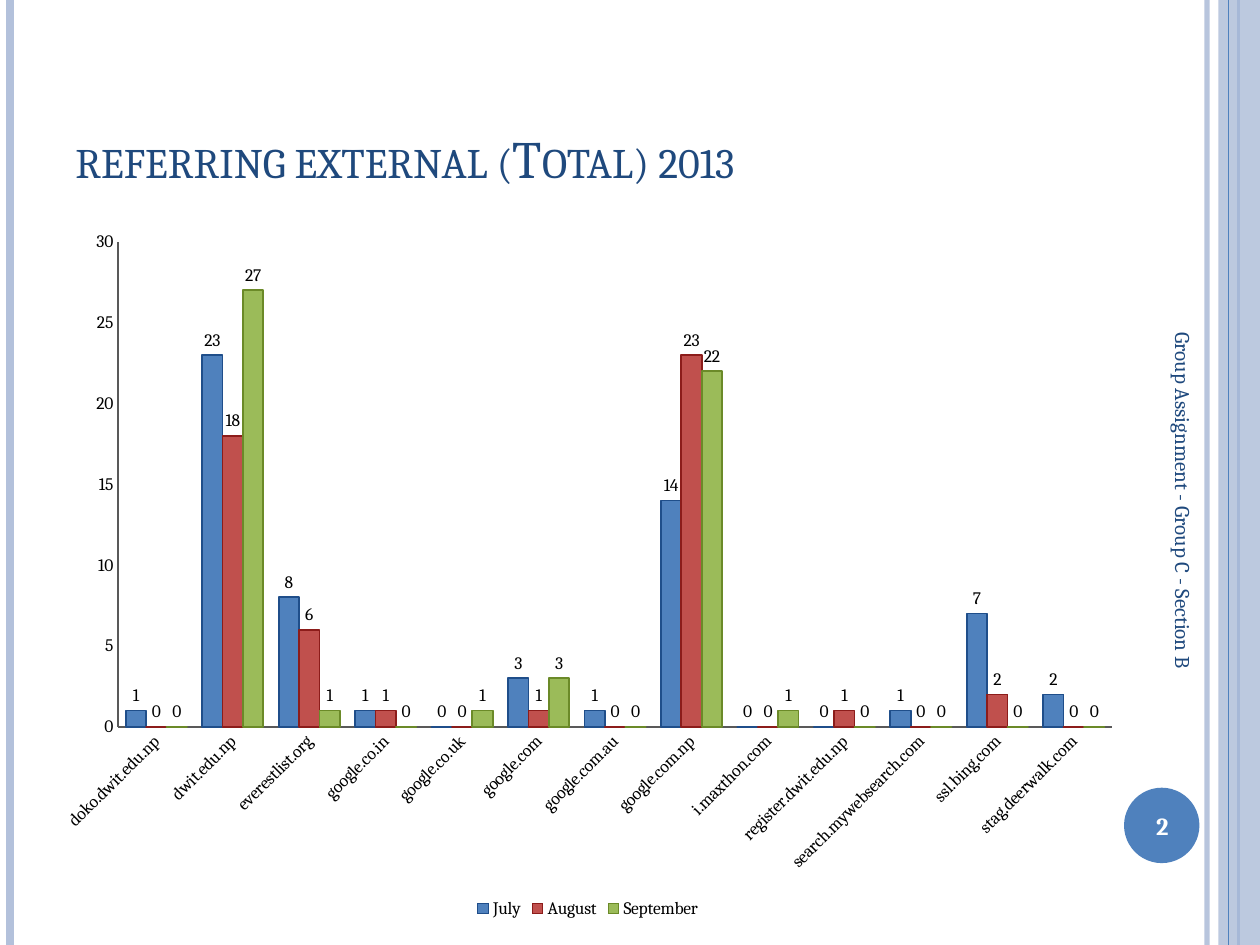
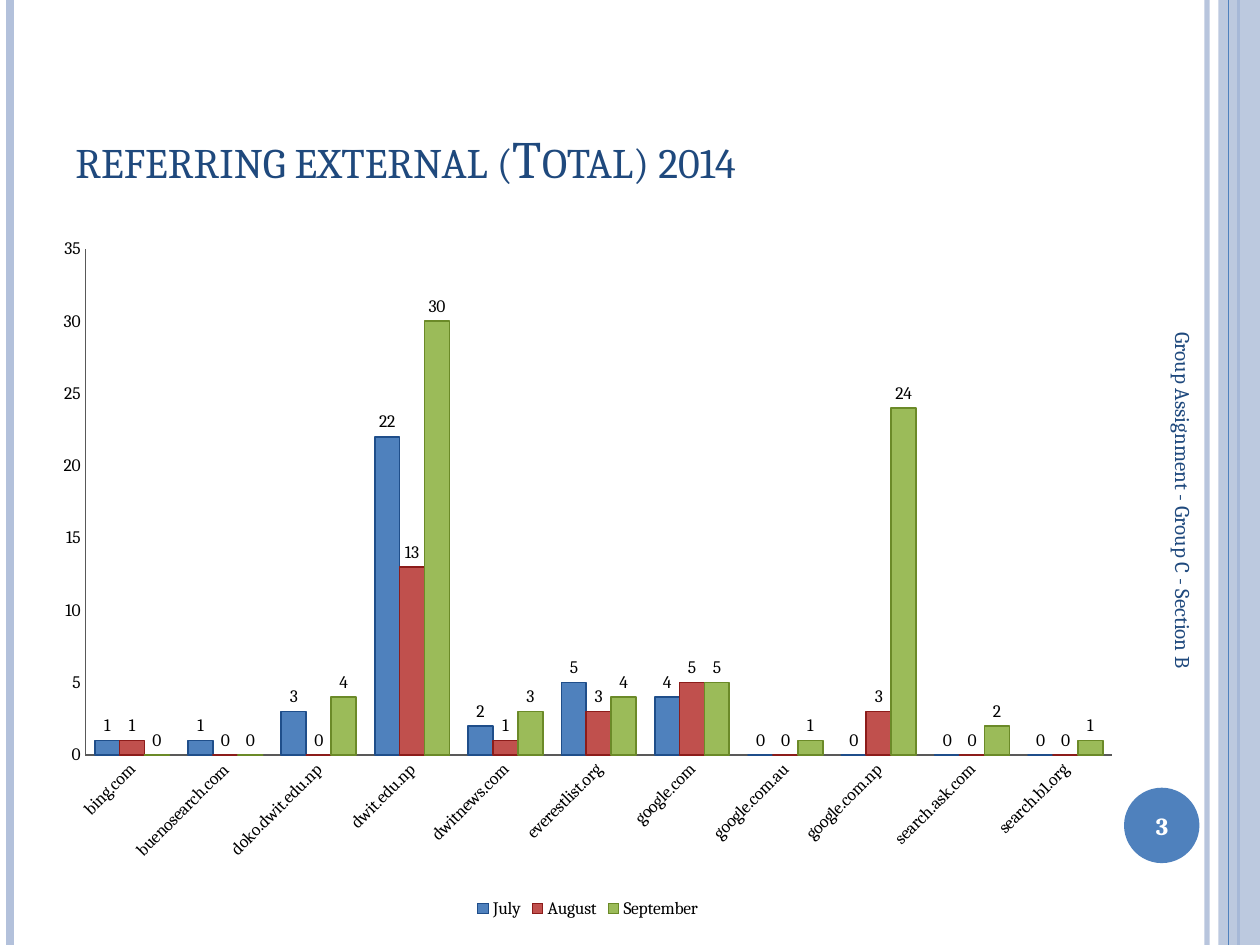
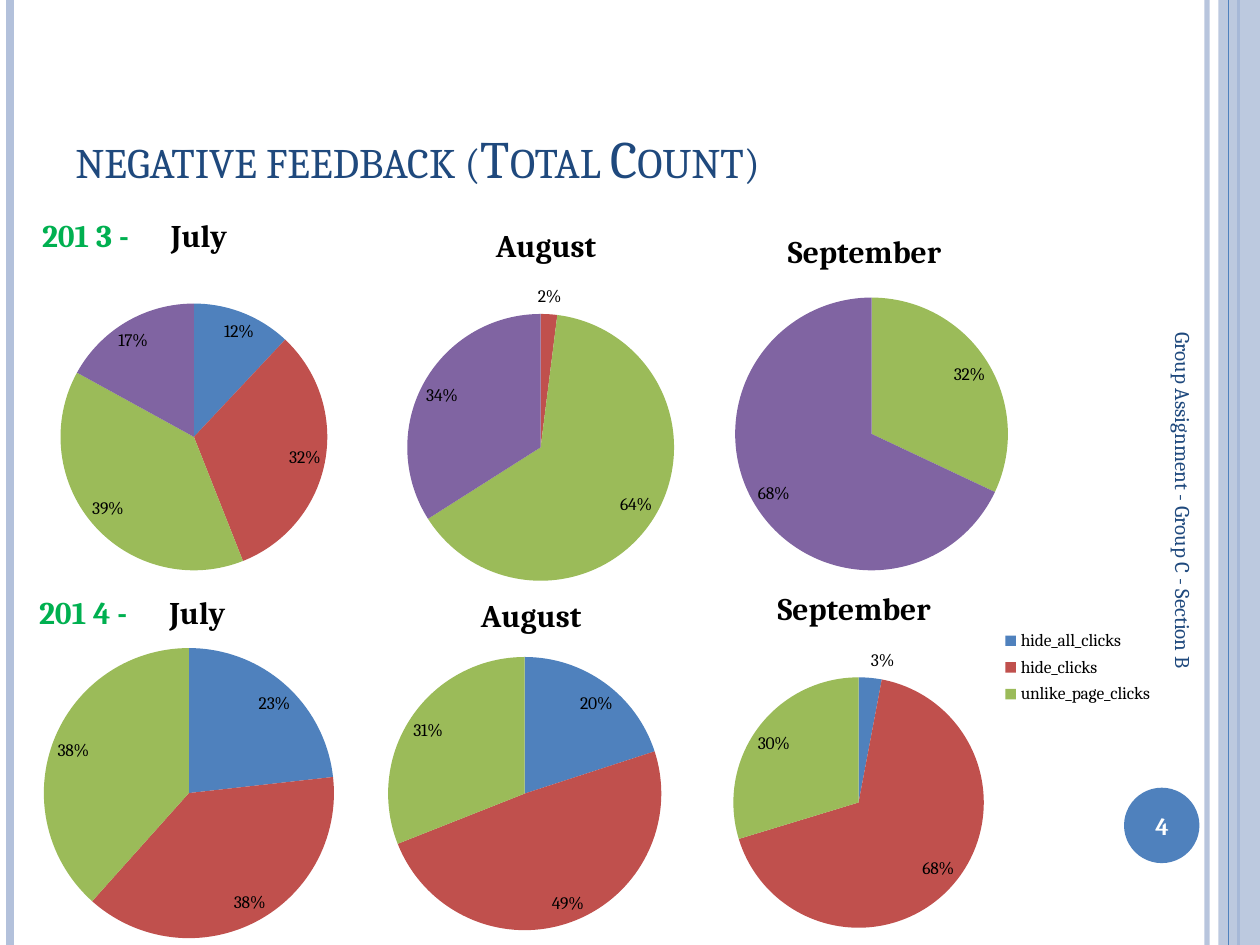
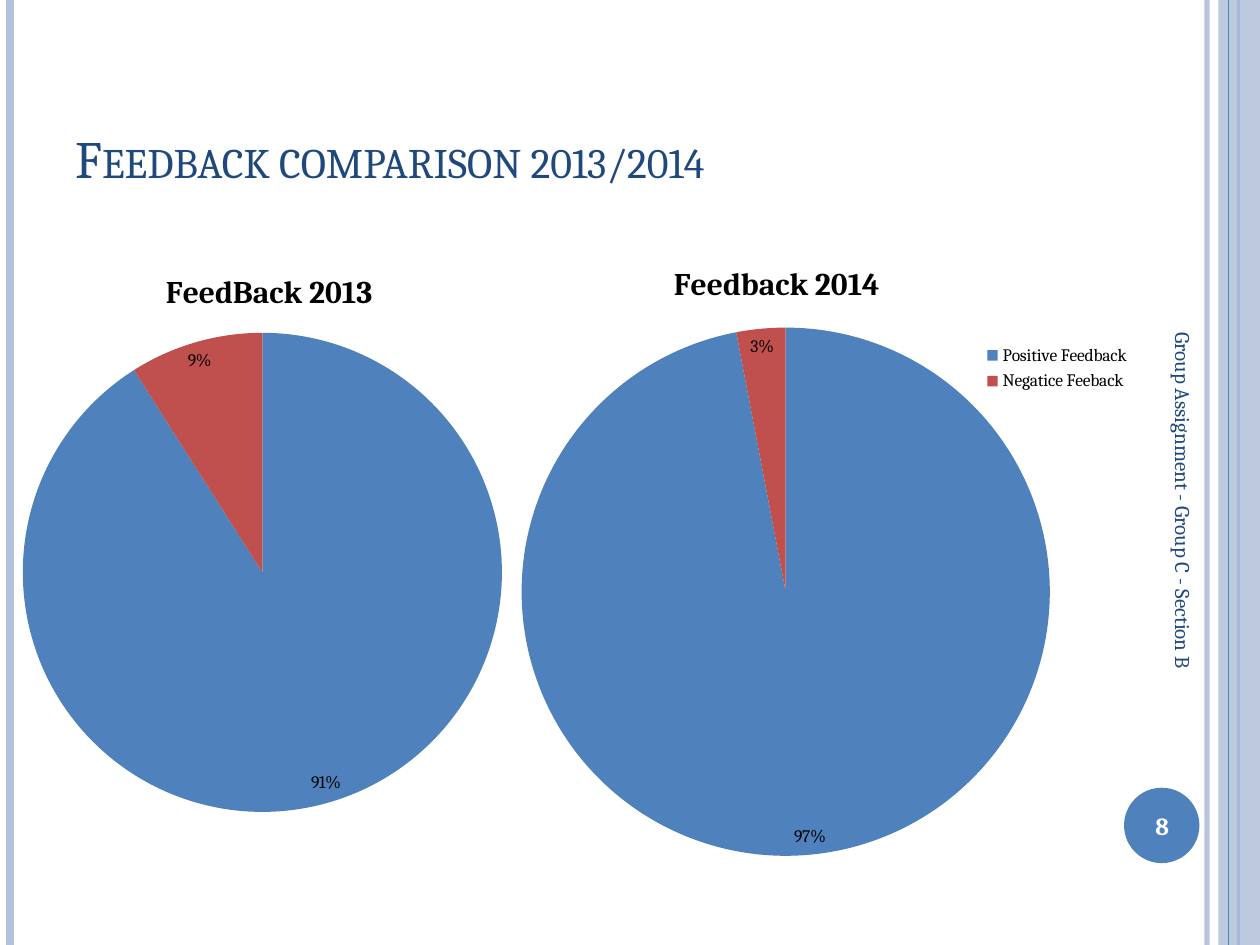
"""Build four slides of web referral and page feedback charts."""
from dataclasses import dataclass
from typing import NamedTuple, Optional

from lxml.etree import SubElement
from pptx import Presentation
from pptx.chart.chart import Chart
from pptx.chart.data import CategoryChartData
from pptx.dml.color import RGBColor
from pptx.enum.chart import XL_CHART_TYPE, XL_LABEL_POSITION, XL_LEGEND_POSITION, XL_TICK_MARK
from pptx.enum.shapes import MSO_CONNECTOR, MSO_SHAPE
from pptx.enum.text import MSO_ANCHOR, PP_ALIGN
from pptx.oxml import parse_xml
from pptx.oxml.ns import nsdecls, qn
from pptx.slide import Slide
from pptx.util import Cm, Pt


def rgb(code: str) -> RGBColor:
    return RGBColor.from_string(code)


@dataclass(frozen=True)
class Theme:
    font: str = "Cambria"
    heading: RGBColor = rgb("1F497D")
    accent: RGBColor = rgb("4F81BD")
    band: RGBColor = rgb("B3C1DB")
    year: RGBColor = rgb("00B050")
    axis: RGBColor = rgb("595959")
    black: RGBColor = rgb("000000")
    white: RGBColor = rgb("FFFFFF")
    fills: tuple = (rgb("4F81BD"), rgb("C0504D"), rgb("9BBB59"), rgb("8064A2"))
    outlines: tuple = (rgb("1F4E8A"), rgb("8C1C1A"), rgb("6B8A28"))
    title_size: int = 30
    chart_title_size: int = 18
    number_size: int = 14
    footer_size: int = 12
    chart_size: int = 10


THEME = Theme()


class Box(NamedTuple):
    left: float
    top: float
    width: float
    height: float

    def lengths(self) -> list[Cm]:
        return [Cm(value) for value in self]

    def within(self, frame: "Box") -> "Box":
        return Box((self.left - frame.left) / frame.width, (self.top - frame.top) / frame.height,
                   self.width / frame.width, self.height / frame.height)


class Stripe(NamedTuple):
    x: float
    color: RGBColor
    weight: float
    opacity: int = 100


class Circle(NamedTuple):
    x: float
    y: float
    diameter: float

    def box(self) -> Box:
        radius = self.diameter / 2
        return Box(self.x - radius, self.y - radius, self.diameter, self.diameter)


@dataclass(frozen=True)
class Label:
    text: str
    box: Box
    size: int
    color: RGBColor
    anchor: MSO_ANCHOR = MSO_ANCHOR.MIDDLE
    align: PP_ALIGN = PP_ALIGN.LEFT
    bold: bool = False
    rotation: int = 0
    small_caps: bool = False


@dataclass(frozen=True)
class Columns:
    sites: tuple
    months: dict
    plot: Box
    top_value: int


@dataclass(frozen=True)
class Pie:
    title: str
    title_left: float
    title_top: float
    frame: Box
    circle: Circle
    shares: tuple
    names: tuple = ()
    legend: Optional[Box] = None
    year: str = ""
    shares_as_text: bool = False
    series: str = "Series 1"


@dataclass(frozen=True)
class Page:
    title: str
    number: str
    charts: tuple


WIDTH, HEIGHT = 25.4, 19.05
BACK_STRIPES = (
    Stripe(24.33, THEME.band, 3, 93),
    Stripe(0.2, THEME.band, 4.5),
    Stripe(24.97, THEME.accent, 1.5),
)
FRONT_STRIPE = Stripe(24.77, THEME.accent, 0.75)
SIDE_BAND = Box(24.56, 0, 0.84, HEIGHT)
BADGE = Box(22.66, 15.88, 1.52, 1.52)
COLUMN_FRAME = Box(0.84, 4.45, 22.02, 14.17)

REFERRALS_2013 = Columns(
    ("doko.dwit.edu.np", "dwit.edu.np", "everestlist.org", "google.co.in", "google.co.uk",
     "google.com", "google.com.au", "google.com.np", "i.maxthon.com", "register.dwit.edu.np",
     "search.mywebsearch.com", "ssl.bing.com", "stag.deerwalk.com"),
    {"July": (1, 23, 8, 1, 0, 3, 1, 14, 0, 0, 1, 7, 2),
     "August": (0, 18, 6, 1, 0, 1, 0, 23, 0, 1, 0, 2, 0),
     "September": (0, 27, 1, 0, 1, 3, 0, 22, 1, 0, 0, 0, 0)},
    Box(0.07, 0.03, 0.91, 0.69), 30)
REFERRALS_2014 = Columns(
    ("bing.com", "buenosearch.com", "doko.dwit.edu.np", "dwit.edu.np", "dwitnews.com",
     "everestlist.org", "google.com", "google.com.au", "google.com.np", "search.ask.com",
     "search.b1.org"),
    {"July": (1, 1, 3, 22, 2, 5, 4, 0, 0, 0, 0),
     "August": (1, 0, 0, 13, 1, 3, 5, 0, 3, 0, 0),
     "September": (0, 0, 4, 30, 3, 4, 5, 1, 24, 2, 1)},
    Box(0.04, 0.04, 0.94, 0.72), 35)

NEGATIVE_FEEDBACK = (
    Pie("July", 0.77, 4.27, Box(-0.43, 4.01, 8.69, 7.82), Circle(3.91, 8.81, 5.38),
        (12, 32, 39, 17), year="201 3 -"),
    Pie("August", 9.88, 4.42, Box(6.78, 4.01, 8.26, 8.05), Circle(10.9, 9.02, 5.38),
        (0, 2, 64, 34), series="August"),
    Pie("September", 15.77, 4.54, Box(13.77, 4.24, 7.62, 7.62), Circle(17.57, 8.75, 5.5),
        (0, 0, 32, 68), series="September"),
    Pie("July", 0.71, 11.87, Box(-0.64, 11.43, 8.89, 7.82), Circle(3.81, 15.99, 5.85),
        (23, 38, 38), year="201 4 -"),
    Pie("August", 9.58, 11.87, Box(5.08, 11.48, 11, 7.62), Circle(10.58, 16, 5.51),
        (20, 49, 31), series="August"),
    Pie("September", 15.56, 11.73, Box(13.34, 11.35, 11.3, 7.7), Circle(17.31, 16.18, 5.05),
        (3, 68, 30), ("hide_all_clicks", "hide_clicks", "unlike_page_clicks"),
        Box(20.16, 12.58, 3.13, 1.75), shares_as_text=True),
)
COMPARISON = (
    Pie("FeedBack 2013", 3.23, 5.34, Box(-1.07, 4.88, 12.7, 11.86), Circle(5.29, 11.54, 9.66),
        (91, 9)),
    Pie("Feedback 2014", 13.47, 5.18, Box(10.16, 4.01, 14.6, 13.77), Circle(15.84, 11.93, 10.65),
        (97, 3), ("Positive Feedback", "Negatice Feeback"), Box(19.76, 6.85, 3.1, 1.15)),
)
PAGES = (
    Page("referring external (Total) 2013", "2", (REFERRALS_2013,)),
    Page("referring external (Total) 2014", "3", (REFERRALS_2014,)),
    Page("negative feedback (Total Count)", "4", NEGATIVE_FEEDBACK),
    Page("Feedback comparison 2013/2014", "8", COMPARISON),
)


def set_opacity(properties, percent: int) -> None:
    color = properties.find(".//" + qn("a:srgbClr"))
    SubElement(color, qn("a:alpha")).set("val", str(percent * 1000))


def add_stripe(slide: Slide, stripe: Stripe) -> None:
    line = slide.shapes.add_connector(MSO_CONNECTOR.STRAIGHT, Cm(stripe.x), 0,
                                      Cm(stripe.x), Cm(HEIGHT))
    line.line.color.rgb = stripe.color
    line.line.width = Pt(stripe.weight)
    SubElement(line.element.spPr, qn("a:effectLst"))
    if stripe.opacity < 100:
        set_opacity(line.element.spPr, stripe.opacity)


def add_block(slide: Slide, preset: MSO_SHAPE, box: Box, color: RGBColor, opacity: int = 100) -> None:
    block = slide.shapes.add_shape(preset, *box.lengths())
    block.shadow.inherit = False
    block.fill.solid()
    block.fill.fore_color.rgb = color
    block.line.fill.background()
    if opacity < 100:
        set_opacity(block.element.spPr, opacity)


def add_label(slide: Slide, label: Label) -> None:
    holder = slide.shapes.add_textbox(*label.box.lengths())
    holder.rotation = label.rotation
    frame = holder.text_frame
    frame.word_wrap = True
    frame.vertical_anchor = label.anchor
    paragraph = frame.paragraphs[0]
    paragraph.alignment = label.align
    run = paragraph.add_run()
    run.text = label.text
    if label.small_caps:
        run._r.get_or_add_rPr().set("cap", "small")
    font = paragraph.font
    font.name, font.size, font.bold = THEME.font, Pt(label.size), label.bold
    font.color.rgb = label.color


def place(chart: Chart, part: str, index: int, area: Box, sized: bool = True) -> None:
    """Give a chart part a manual layout, in fractions of the chart."""
    parent = chart.element.find(".//" + qn(part))
    for old in parent.findall(qn("c:layout")):
        parent.remove(old)
    target = '<c:layoutTarget val="inner"/>' if part == "c:plotArea" else ""
    size = f'<c:w val="{area.width:.4f}"/><c:h val="{area.height:.4f}"/>' if sized else ""
    parent.insert(index, parse_xml(
        f'<c:layout {nsdecls("c")}><c:manualLayout>{target}'
        '<c:xMode val="edge"/><c:yMode val="edge"/>'
        f'<c:x val="{area.left:.4f}"/><c:y val="{area.top:.4f}"/>{size}'
        '</c:manualLayout></c:layout>'))


def start_chart(slide: Slide, kind: XL_CHART_TYPE, frame: Box, names: tuple, series: dict) -> Chart:
    data = CategoryChartData()
    data.categories = names
    for name, values in series.items():
        data.add_series(name, values)
    chart = slide.shapes.add_chart(kind, *frame.lengths(), data).chart
    chart.font.name, chart.font.size = THEME.font, Pt(THEME.chart_size)
    chart.font.color.rgb = THEME.black
    return chart


def add_legend(chart: Chart, position: XL_LEGEND_POSITION) -> None:
    chart.has_legend = True
    chart.legend.position = position
    chart.legend.include_in_layout = False


def add_columns(slide: Slide, columns: Columns) -> None:
    chart = start_chart(slide, XL_CHART_TYPE.COLUMN_CLUSTERED, COLUMN_FRAME,
                        columns.sites, columns.months)
    chart.has_title = False
    add_legend(chart, XL_LEGEND_POSITION.BOTTOM)
    plot = chart.plots[0]
    plot.gap_width, plot.overlap, plot.vary_by_categories = 75, 0, False
    for month, fill, outline in zip(plot.series, THEME.fills, THEME.outlines):
        month.format.fill.solid()
        month.format.fill.fore_color.rgb = fill
        month.format.line.color.rgb = outline
        month.format.line.width = Pt(1)
        month.data_labels.show_value = True
        month.data_labels.position = XL_LABEL_POSITION.OUTSIDE_END
    for axis in (chart.category_axis, chart.value_axis):
        axis.has_major_gridlines = False
        axis.major_tick_mark = axis.minor_tick_mark = XL_TICK_MARK.NONE
        axis.format.line.color.rgb = THEME.axis
        axis.format.line.width = Pt(1)
        axis.tick_labels.font.size = Pt(THEME.chart_size)
    chart.value_axis.minimum_scale = 0
    chart.value_axis.maximum_scale = columns.top_value
    chart.value_axis.major_unit = 5
    site_axis = chart.element.find(".//" + qn("c:catAx"))
    slant = site_axis.find(qn("c:txPr")).find(qn("a:bodyPr"))
    slant.set("rot", "-2700000")
    slant.set("vert", "horz")
    place(chart, "c:plotArea", 0, columns.plot)


def write_pie_title(chart: Chart, pie: Pie) -> None:
    chart.has_title = True
    paragraph = chart.chart_title.text_frame.paragraphs[0]
    font = paragraph.font
    font.name, font.size, font.bold = THEME.font, Pt(THEME.chart_title_size), True
    parts = [(pie.title, THEME.black)]
    if pie.year:
        parts = [(pie.year, THEME.year), (" ", THEME.year)] + parts
    for text, color in parts:
        run = paragraph.add_run()
        run.text = text
        run.font.color.rgb = color
        if text == " ":
            run._r.get_or_add_rPr().set("spc", "2000")
    corner = Box(pie.title_left, pie.title_top, 0, 0)
    place(chart, "c:title", 1, corner.within(pie.frame), sized=False)


def add_pie(slide: Slide, pie: Pie) -> None:
    names = pie.names or tuple(str(i + 1) for i in range(len(pie.shares)))
    chart = start_chart(slide, XL_CHART_TYPE.PIE, pie.frame, names, {pie.series: pie.shares})
    write_pie_title(chart, pie)
    chart.plots[0].vary_by_categories = True
    slices = chart.plots[0].series[0]
    labels = slices.data_labels
    labels.show_value = pie.shares_as_text
    labels.show_percentage = not pie.shares_as_text
    labels.number_format = '0"%"' if pie.shares_as_text else "0%"
    labels.number_format_is_linked = False
    labels.position = XL_LABEL_POSITION.BEST_FIT
    for i, share in enumerate(pie.shares):
        style = slices.points[i].format
        style.fill.solid()
        style.fill.fore_color.rgb = THEME.fills[i]
        style.line.fill.background()
        if share == 0:
            labels._element.insert(i, parse_xml(
                f'<c:dLbl {nsdecls("c")}><c:idx val="{i}"/><c:delete val="1"/></c:dLbl>'))
    place(chart, "c:plotArea", 0, pie.circle.box().within(pie.frame))
    chart.has_legend = False
    if pie.legend:
        add_legend(chart, XL_LEGEND_POSITION.RIGHT)
        place(chart, "c:legend", 1, pie.legend.within(pie.frame))


def add_surround(slide: Slide, page: Page) -> None:
    for stripe in BACK_STRIPES:
        add_stripe(slide, stripe)
    add_block(slide, MSO_SHAPE.RECTANGLE, SIDE_BAND, THEME.band, 87)
    add_stripe(slide, FRONT_STRIPE)
    add_block(slide, MSO_SHAPE.OVAL, BADGE, THEME.accent)
    add_label(slide, Label(page.title, Box(1.27, 0.76, 20.75, 3.18), THEME.title_size,
                           THEME.heading, anchor=MSO_ANCHOR.BOTTOM, small_caps=True))
    add_label(slide, Label("Group Assignment - Group C - Section B", Box(19.41, 10.39, 8.89, 1.02),
                           THEME.footer_size, THEME.heading, rotation=90))
    add_label(slide, Label(page.number, Box(22.58, 15.93, 1.7, 1.45), THEME.number_size,
                           THEME.white, align=PP_ALIGN.CENTER, bold=True))


def main() -> None:
    deck = Presentation()
    deck.slide_width, deck.slide_height = Cm(WIDTH), Cm(HEIGHT)
    for page in PAGES:
        slide = deck.slides.add_slide(deck.slide_layouts[6])
        add_surround(slide, page)
        for chart in page.charts:
            if isinstance(chart, Columns):
                add_columns(slide, chart)
            else:
                add_pie(slide, chart)
    deck.save("out.pptx")


if __name__ == "__main__":
    main()
